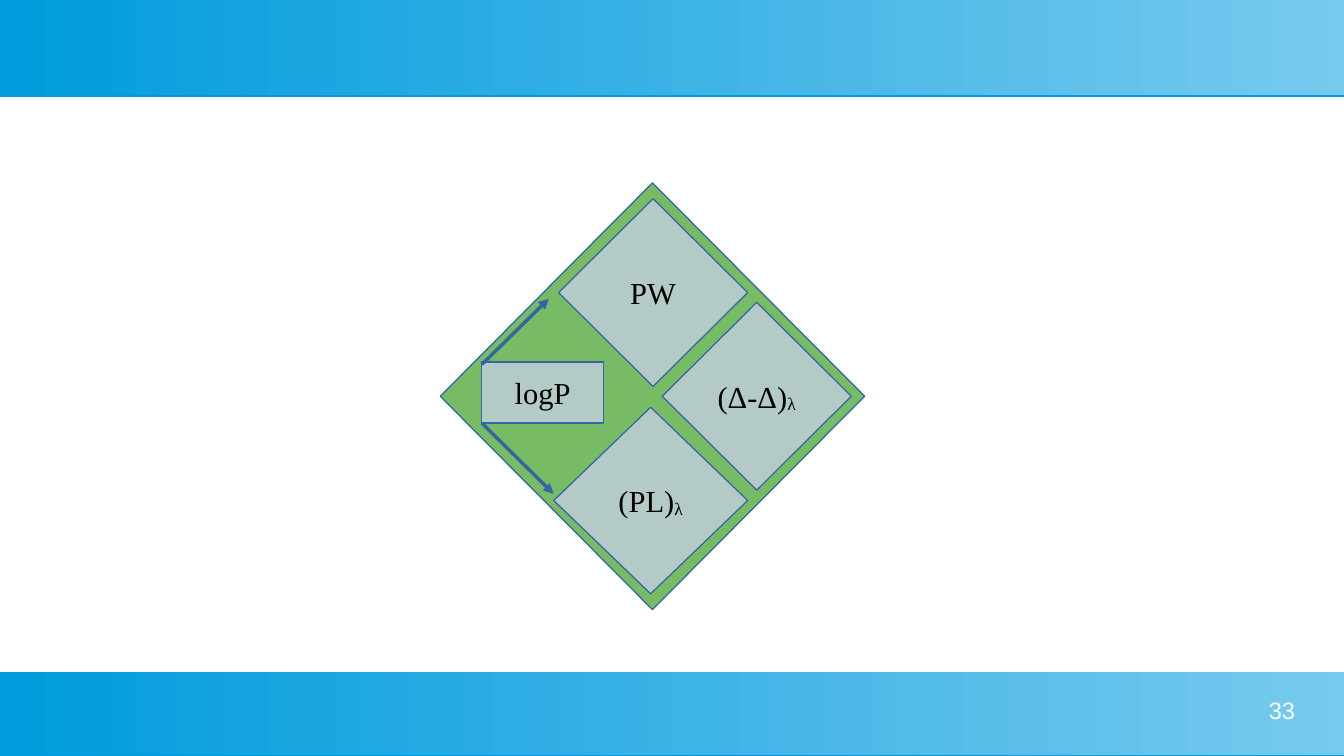
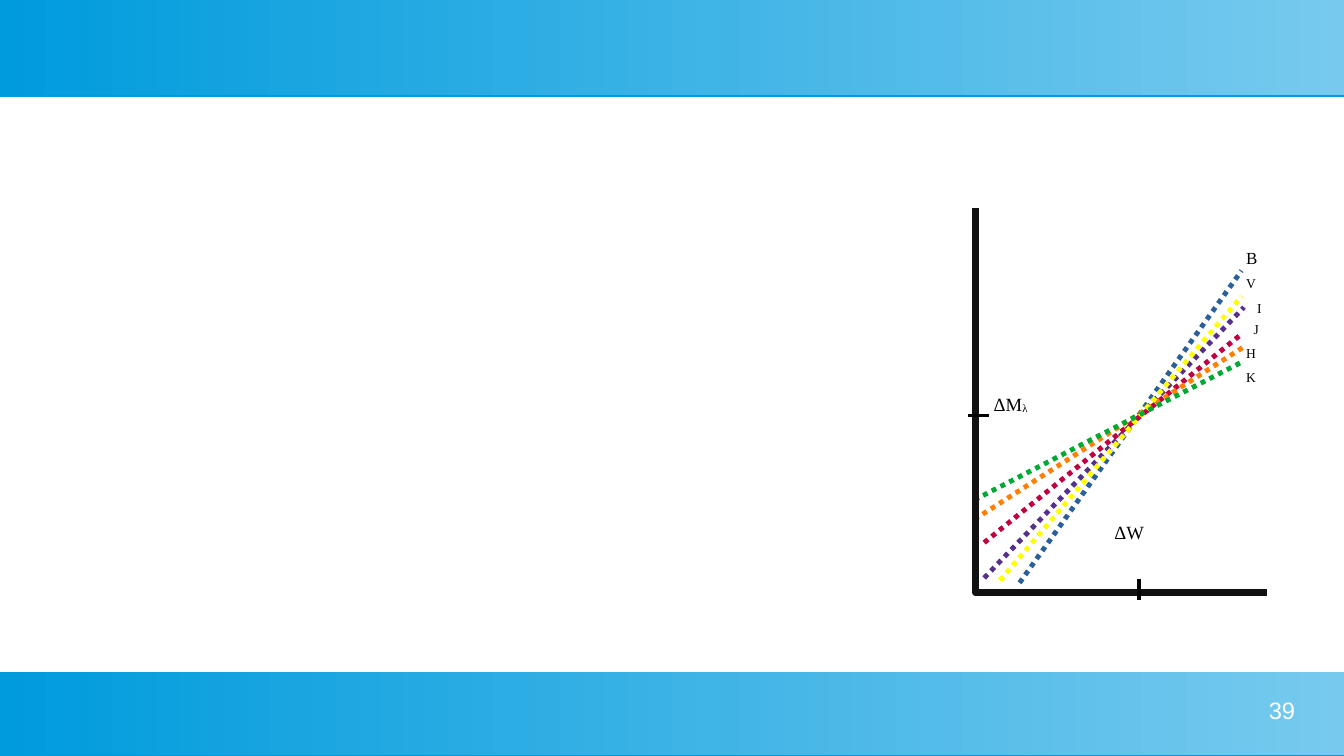
import pptx
import pptx.dml.color
import pptx.enum.dml
import pptx.enum.shapes
import pptx.enum.text
import pptx.oxml
import pptx.oxml.ns
import pptx.util
from lxml import etree

# Slide grid: square cells of a tenth of an inch
COLS, ROWS = 110.2, 62
CELL = pptx.util.Inches(0.1)
SERIF, SANS = "Times New Roman", "Arial"
COLORS = {
    "band_light": "77CAEE", "band_dark": "009BDD", "white": "FFFFFF",
    "black": "000000", "axis": "111111", "outline": "3465A4",
    "frame": "77BC65", "tile": "B3CAC7",
    "blue": "2A6099", "purple": "55308D", "crimson": "BF0041",
    "orange": "FF8000", "yellow": "FFFF00", "green": "00A933",
}
SHAPE = pptx.enum.shapes.MSO_SHAPE
ALIGN = pptx.enum.text.PP_ALIGN
qn = pptx.oxml.ns.qn

# Band letter, line colour, line start, line end, label corner, label size
BANDS = [
    ("B", "blue", (83.6, 47.8), (101.8, 22.2), (101.2, 19.8), 10),
    ("I", "purple", (80.7, 47.4), (102, 25.2), (102.1, 24.1), 8),
    ("J", "crimson", (80.7, 44.5), (101.8, 27.4), (101.8, 25.8), 8),
    ("H", "orange", (79.9, 42.6), (101.9, 28.5), (101.2, 27.8), 8),
    ("V", "yellow", (82, 47.6), (101.8, 24.3), (101.2, 22.1), 8),
    ("K", "green", (79.9, 41), (102, 29.6), (101.2, 29.8), 8),
]


def cells(*counts):
    return [int(n * CELL) for n in counts]


def rgb(name):
    return pptx.dml.color.RGBColor.from_string(COLORS[name])


def style_line(line, color, width=0):
    line.color.rgb = rgb(color)
    line.width = pptx.util.Pt(width)


def write(tf, text, size, sub="", font=SERIF, color="black", align=ALIGN.LEFT):
    """Fill a text frame with a text and an optional lowered index."""
    p = tf.paragraphs[0]
    p.alignment = align
    for part, baseline in ((text, None), (sub, "-8000")):
        if not part:
            continue
        r = p.add_run()
        r.text = part
        r.font.size = pptx.util.Pt(size)
        r.font.name = font
        r.font.color.rgb = rgb(color)
        if baseline:
            r.font._element.set("baseline", baseline)


def add_label(slide, box, text, size, inset=True, **style):
    tf = slide.shapes.add_textbox(*cells(*box)).text_frame
    tf.word_wrap = True
    if not inset:
        tf.margin_left = tf.margin_right = tf.margin_top = tf.margin_bottom = 0
    write(tf, text, size, **style)


def add_block(slide, kind, box, fill, text="", sub=""):
    sp = slide.shapes.add_shape(kind, *cells(*box))
    sp.shadow.inherit = False
    sp.fill.solid()
    sp.fill.fore_color.rgb = rgb(fill)
    style_line(sp.line, "outline")
    if text:
        tf = sp.text_frame
        tf.word_wrap = False
        tf.vertical_anchor = pptx.enum.text.MSO_ANCHOR.MIDDLE
        write(tf, text, 18, sub, align=ALIGN.CENTER)


def add_diamond(slide, center, half_w, half_h, fill, text="", sub=""):
    cx, cy = center
    box = (cx - half_w, cy - half_h, 2 * half_w, 2 * half_h)
    add_block(slide, SHAPE.DIAMOND, box, fill, text, sub)


def add_line(slide, start, end, color, width=0, dotted=False, arrow=False):
    cxn = slide.shapes.add_connector(
        pptx.enum.shapes.MSO_CONNECTOR.STRAIGHT, *cells(*start, *end))
    style_line(cxn.line, color, width)
    if dotted:
        cxn.line.dash_style = pptx.enum.dml.MSO_LINE.ROUND_DOT
    if arrow:
        etree.SubElement(cxn.line._get_or_add_ln(), qn("a:tailEnd"), type="triangle")
    etree.SubElement(cxn._element.spPr, qn("a:effectLst"))


def add_axes(slide, top, corner, right):
    fb = slide.shapes.build_freeform(*cells(*top))
    fb.add_line_segments([cells(*corner), cells(*right)], close=False)
    sp = fb.convert_to_shape()
    sp.shadow.inherit = False
    sp.fill.background()
    style_line(sp.line, "axis", 4.31)


def add_master_bands(prs, slide):
    """Draw the top and bottom bands and move them to the master."""
    tree = prs.slide_master.shapes.element
    for index, (top, height) in enumerate(((0, 7.8), (55.1, 6.8))):
        sp = slide.shapes.add_shape(SHAPE.RECTANGLE, *cells(0, top, COLS, height))
        sp.fill.gradient()
        sp.fill.gradient_angle = 180
        for stop, color in zip(sp.fill.gradient_stops, ("band_light", "band_dark")):
            stop.color.rgb = rgb(color)
        sp.line.fill.background()
        # Thin solid edge under the band
        sp.shadow.inherit = False
        effects = sp._element.spPr.find(qn("a:effectLst"))
        edge = etree.SubElement(effects, qn("a:outerShdw"), blurRad="0",
                                dist=str(pptx.util.Pt(0.9)), dir="5400000",
                                algn="ctr", rotWithShape="0")
        etree.SubElement(edge, qn("a:srgbClr"), val=COLORS["band_dark"])
        tree.insert(2 + index, sp._element)


def add_page_number(slide, number):
    add_label(slide, (80.7, 57.1, 25.5, 3.9), str(number), 14, inset=False,
              font=SANS, color="white", align=ALIGN.RIGHT)


def build_diamond_slide(slide):
    add_diamond(slide, (53.5, 32.5), 17.4, 17.5, "frame")
    add_block(slide, SHAPE.RECTANGLE, (39.5, 29.7, 10, 5), "tile", "logP")
    add_diamond(slide, (53.35, 41.05), 7.95, 7.65, "tile", "(PL)", "λ")
    add_diamond(slide, (53.55, 24), 7.75, 7.7, "tile", "PW")
    add_line(slide, (39.5, 29.9), (45, 24.5), "outline", arrow=True)
    add_line(slide, (39.5, 34.7), (45.4, 40.5), "outline", arrow=True)
    add_diamond(slide, (62.05, 32.5), 7.75, 7.7, "tile", "(Δ-Δ)", "λ")
    add_page_number(slide, 33)


def build_plot_slide(slide):
    for letter, color, start, end, corner, size in BANDS:
        add_line(slide, start, end, color, 2.89, dotted=True)
        add_label(slide, (*corner, 2.8, 2.9), letter, size)
    # Axes with one tick each at the crossing point
    add_axes(slide, (80, 17.1), (80, 48.6), (103.9, 48.6))
    add_line(slide, (79.4, 34.1), (81.1, 34.1), "black")
    add_line(slide, (93.4, 47.5), (93.4, 49.2), "black")
    add_label(slide, (80.5, 31.7, 8.4, 6.5), "ΔM", 11, sub="λ")
    add_label(slide, (90.4, 42.2, 12.3, 7.9), "ΔW", 11)
    add_page_number(slide, 39)


def main():
    prs = pptx.Presentation()
    prs.slide_width, prs.slide_height = cells(COLS, ROWS)
    blank = prs.slide_layouts[6]
    diamonds, plot = (prs.slides.add_slide(blank) for _ in range(2))
    add_master_bands(prs, diamonds)
    build_diamond_slide(diamonds)
    build_plot_slide(plot)
    prs.save("out.pptx")


if __name__ == "__main__":
    main()
